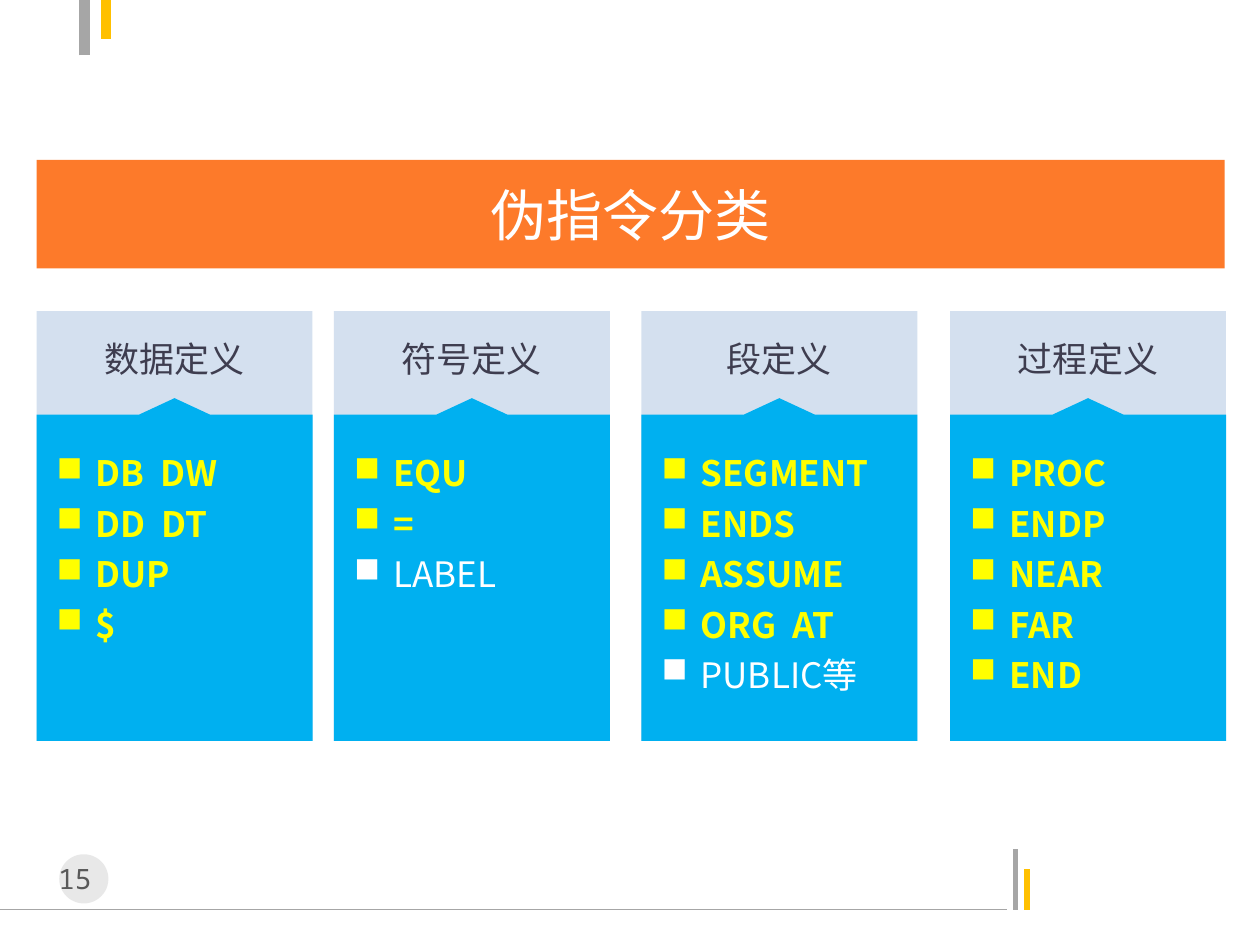
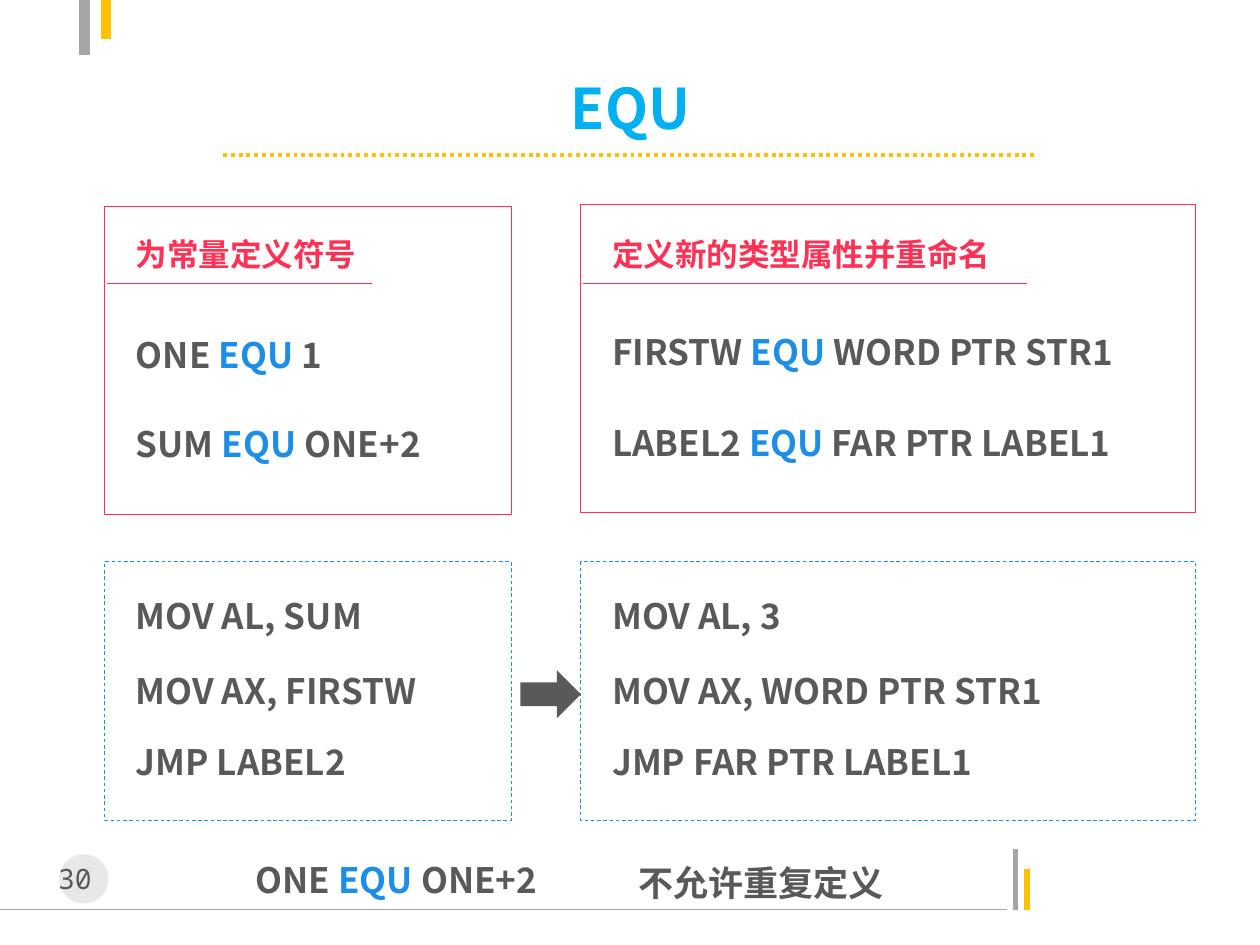
from pptx import Presentation
from pptx.dml.color import RGBColor
from pptx.enum.dml import MSO_LINE
from pptx.enum.shapes import MSO_CONNECTOR, MSO_SHAPE
from pptx.enum.text import MSO_ANCHOR, MSO_AUTO_SIZE, PP_ALIGN
from pptx.oxml.ns import qn
from pptx.util import Inches, Pt
from lxml.etree import SubElement

HUES = {
    "white": "FFFFFF", "grey": "A6A6A6", "gold": "FFC000", "disc": "BFBFBF",
    "text": "595959", "label": "3E3D4F", "pale": "95B3D7", "sky": "00B0F0",
    "orange": "FD7A2A", "yellow": "FFFF00", "red": "FF3255", "blue": "1D8DE5",
}
SANS, MONO = "Noto Sans CJK SC", "Noto Sans Mono"


def rgb(name):
    return RGBColor.from_string(HUES[name])


def assign(obj, values):
    for key, value in values.items():
        setattr(obj, key, value)


class Deck:
    # Text styles: font values, then paragraph values
    styles = {
        "banner": ({"size": Pt(32), "hue": "white"}, {"alignment": PP_ALIGN.CENTER}),
        "title": ({"size": Pt(32), "hue": "sky", "bold": True},
                  {"alignment": PP_ALIGN.CENTER}),
        "label": ({"size": Pt(20), "hue": "label"}, {"alignment": PP_ALIGN.CENTER}),
        "key": ({"size": Pt(20), "hue": "yellow", "bold": True}, {"line_spacing": 1.2}),
        "plain": ({"size": Pt(20), "hue": "white", "bold": False}, {"line_spacing": 1.2}),
        "code": ({"size": Pt(20), "hue": "text", "bold": True}, {"line_spacing": 1.29}),
        "head": ({"size": Pt(18), "hue": "red", "bold": True},
                 {"alignment": PP_ALIGN.JUSTIFY, "line_spacing": 1.39,
                  "space_after": Pt(6)}),
        "page": ({"size": Pt(16), "hue": "text", "name": MONO},
                 {"alignment": PP_ALIGN.CENTER}),
    }

    def __init__(self):
        self.prs = Presentation()
        assign(self.prs, {"slide_width": Inches(10), "slide_height": Inches(7.5)})

    def start(self, page):
        """Open a slide with its corner bars, footer rule and page number."""
        self.slide = self.prs.slides.add_slide(self.prs.slide_layouts[6])
        self.shapes = self.slide.shapes
        for x1, y1, x2, y2, hue, width in (
                (0, 7.22, 7.99, 7.22, "grey", 0.75),
                (8.06, 7.22, 8.06, 6.74, "grey", 3),
                (8.15, 7.22, 8.15, 6.9, "gold", 3),
                (0.67, 0.44, 0.67, 0, "grey", 6),
                (0.84, 0, 0.84, 0.31, "gold", 6)):
            self.rule(x1, y1, x2, y2, hue, width)
        self.shape(0.47, 6.78, 0.39, 0.39, MSO_SHAPE.OVAL, fill="disc", alpha=35)
        self.text(0.24, 6.79, 0.71, 0.37, page, "page")

    def rule(self, x1, y1, x2, y2, hue, width, dash=None):
        line = self.shapes.add_connector(
            MSO_CONNECTOR.STRAIGHT, *map(Inches, (x1, y1, x2, y2)))
        line.line.color.rgb = rgb(hue)
        assign(line.line, {"width": Pt(width), "dash_style": dash})
        SubElement(line._element.spPr, qn("a:effectLst"))

    def paint(self, shape, fill=None, alpha=None, edge=None, dash=None):
        shape.shadow.inherit = False
        if fill:
            shape.fill.solid()
            shape.fill.fore_color.rgb = rgb(fill)
        else:
            shape.fill.background()
        if alpha:
            color = shape._element.spPr.find(".//" + qn("a:srgbClr"))
            SubElement(color, qn("a:alpha"), val=str(alpha * 1000))
        if edge:
            shape.line.color.rgb = rgb(edge)
            assign(shape.line, {"width": Pt(0.5), "dash_style": dash})
        else:
            shape.line.fill.background()
        return shape

    def shape(self, x, y, w, h, kind=MSO_SHAPE.RECTANGLE, **look):
        return self.paint(
            self.shapes.add_shape(kind, *map(Inches, (x, y, w, h))), **look)

    def notch(self, x, y, w, h, **look):
        """Draw a box with a small peak at the middle of its top edge."""
        mid, top, half = x + w / 2, y + 0.13, 0.28
        dots = [(mid + half, top), (x + w, top), (x + w, y + h),
                (x, y + h), (x, top), (mid - half, top)]
        pen = self.shapes.build_freeform(Inches(mid), Inches(y))
        pen.add_line_segments([(Inches(a), Inches(b)) for a, b in dots], close=True)
        return self.paint(pen.convert_to_shape(), **look)

    def run(self, para, words, style, hue=None):
        run = para.add_run()
        run.text = words
        look = {"name": SANS, **self.styles[style][0]}
        run.font.color.rgb = rgb(hue or look["hue"])
        look.pop("hue")
        assign(run.font, look)
        SubElement(run._r.get_or_add_rPr(), qn("a:ea"), typeface=look["name"])

    def phrase(self, para, words, style, mark=None):
        """Fill a paragraph, with the marked word in blue."""
        assign(para, self.styles[style][1])
        if not mark:
            self.run(para, words, style)
            return
        left, word, right = words.partition(mark)
        for part, hue in ((left, None), (word, "blue"), (right, None)):
            if part:
                self.run(para, part, style, hue)

    def text(self, x, y, w, h, words, style, mark=None, **frame):
        box = self.shapes.add_textbox(*map(Inches, (x, y, w, h)))
        assign(box.text_frame, {
            "word_wrap": True, "auto_size": MSO_AUTO_SIZE.SHAPE_TO_FIT_TEXT, **frame})
        self.phrase(box.text_frame.paragraphs[0], words, style, mark)

    def bullets(self, shape, items):
        frame = shape.text_frame
        assign(frame, {
            "word_wrap": True, "vertical_anchor": MSO_ANCHOR.TOP,
            "margin_left": Inches(0.16), "margin_right": Inches(0.16),
            "margin_top": Inches(0.36)})
        for i, (words, style) in enumerate(items):
            para = frame.add_paragraph() if i else frame.paragraphs[0]
            props = para._p.get_or_add_pPr()
            props.set("marL", str(Inches(0.31)))
            props.set("indent", str(-Inches(0.31)))
            SubElement(props, qn("a:buChar"), char="■")
            para.alignment = PP_ALIGN.LEFT
            self.phrase(para, words, style)


def kinds(deck):
    deck.start("15")
    # Banner
    band = deck.shape(0.29, 1.27, 9.43, 0.86, fill="orange")
    band.text_frame.vertical_anchor = MSO_ANCHOR.MIDDLE
    deck.phrase(band.text_frame.paragraphs[0], "伪指令分类", "banner")
    # Cards: left edge, heading, key words, other words
    cards = (
        (0.29, "数据定义", ("DB  DW", "DD  DT", "DUP", "$"), ()),
        (2.65, "符号定义", ("EQU", "="), ("LABEL",)),
        (5.09, "段定义", ("SEGMENT", "ENDS", "ASSUME", "ORG  AT"), ("PUBLIC等",)),
        (7.54, "过程定义", ("PROC", "ENDP", "NEAR", "FAR", "END"), ()),
    )
    for x, head, keys, rest in cards:
        deck.shape(x, 2.47, 2.19, 3.41, fill="pale", alpha=40)
        body = deck.notch(x, 3.16, 2.19, 2.72, fill="sky")
        deck.bullets(body, [(k, "key") for k in keys] + [(r, "plain") for r in rest])
        deck.text(x, 2.63, 2.19, 0.44, head, "label")


def equ(deck):
    deck.start("30")
    # Title
    deck.text(1.38, 0.6, 7.25, 0.5, "EQU", "title", word_wrap=False,
              auto_size=MSO_AUTO_SIZE.NONE, vertical_anchor=MSO_ANCHOR.MIDDLE)
    deck.rule(1.77, 1.23, 8.23, 1.23, "gold", 2.25, MSO_LINE.ROUND_DOT)
    # Columns: definitions above, their use below
    columns = (
        (0.83, 3.23, 1.64, 2.44, "为常量定义符号", 1.97,
         ((2.5, "ONE EQU 1"), (3.21, "SUM EQU ONE+2")),
         ("MOV AL, SUM", "MOV AX, FIRSTW", "JMP LABEL2")),
        (4.61, 4.88, 1.62, 2.45, "定义新的类型属性并重命名", 3.23,
         ((2.48, "FIRSTW EQU WORD PTR STR1"), (3.2, "LABEL2 EQU FAR PTR LABEL1")),
         ("MOV AL, 3", "MOV AX, WORD PTR STR1", "JMP FAR PTR LABEL1")),
    )
    for x, w, top, h, head, span, defs, uses in columns:
        left, wide = x + 0.15, w - 0.16
        deck.shape(x, top, w, h, edge="red")
        deck.text(left, 1.7, span, 0.48, head, "head", word_wrap=False)
        # The rule ends a little past the heading on the wider column
        end = left + span + (0.16 if w > 4 else 0)
        deck.rule(end, 2.25, x + 0.02, 2.25, "red", 0.75)
        for y, words in defs:
            deck.text(left, y, wide, 0.54, words, "code", "EQU")
        deck.shape(x, 4.46, w, 2.05, edge="blue", dash=MSO_LINE.DASH)
        for y, words in zip((4.57, 5.17, 5.73), uses):
            deck.text(left, y, wide, 0.54, words, "code")
    deck.shape(4.13, 5.32, 0.48, 0.38, MSO_SHAPE.RIGHT_ARROW, fill="text")
    # Warning line
    deck.text(1.93, 6.67, 3.54, 0.54, "ONE EQU ONE+2", "code", "EQU")
    deck.text(4.97, 6.69, 2.24, 0.54, "不允许重复定义", "code")


def main():
    deck = Deck()
    kinds(deck)
    equ(deck)
    deck.prs.save("out.pptx")


if __name__ == "__main__":
    main()
